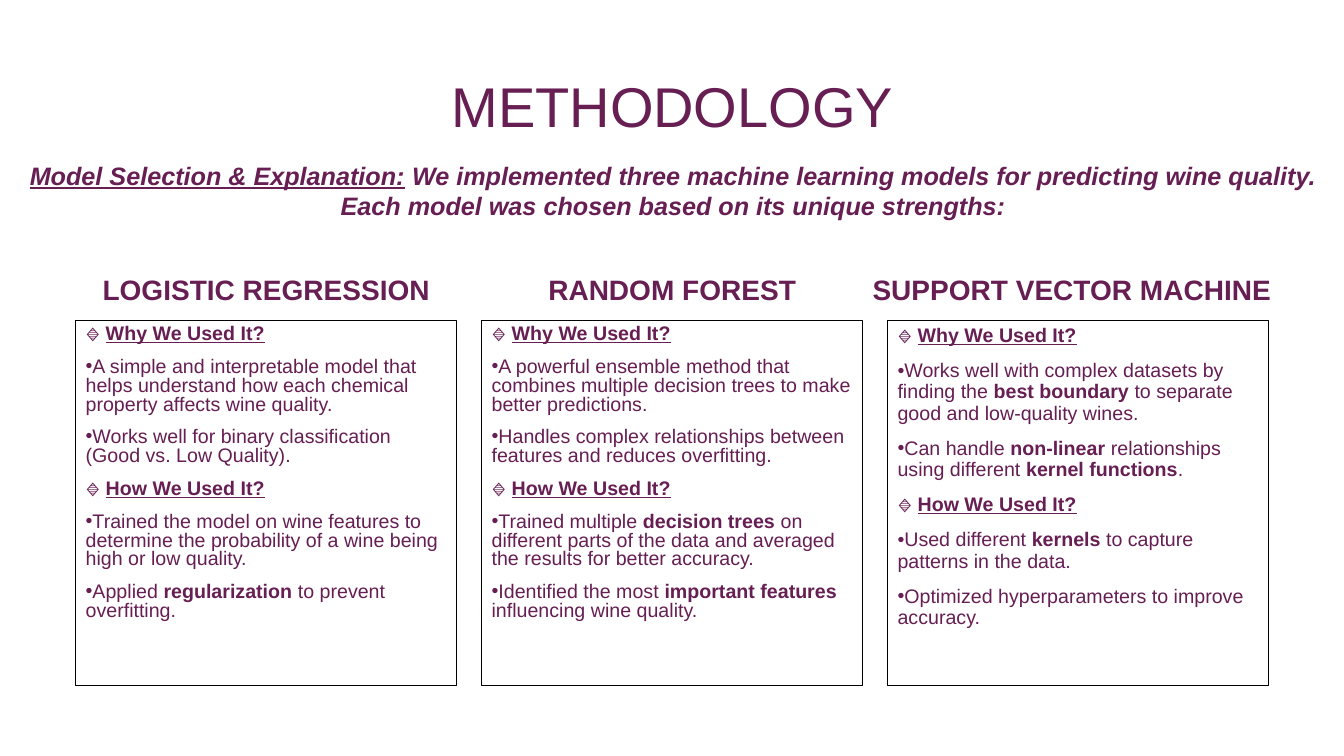
from lxml import etree
from pptx import Presentation
from pptx.dml.color import RGBColor
from pptx.enum.shapes import MSO_SHAPE
from pptx.enum.text import MSO_ANCHOR, PP_ALIGN
from pptx.oxml.ns import qn
from pptx.util import Cm, Pt

LEFT, CENTER = PP_ALIGN.LEFT, PP_ALIGN.CENTER
TOP, MIDDLE, BOTTOM = MSO_ANCHOR.TOP, MSO_ANCHOR.MIDDLE, MSO_ANCHOR.BOTTOM
RECTANGLE = MSO_SHAPE.RECTANGLE

COLORS = {"plum": "661E53", "white": "FFFFFF", "black": "000000"}
FONT = "Arial"

FIRST_LEFT, COLUMN_STEP, COLUMN_WIDTH = 1.91, 10.23, 9.6
HEADING_TOP, HEADING_HEIGHT = 6.12, 1.74
CARD_TOP, CARD_HEIGHT = 8.08, 9.2

# Text between ** marks is bold.
MODELS = [
    {
        "name": "LOGISTIC REGRESSION",
        "spacing": 0.8,
        "why": ["A simple and interpretable model that helps understand how each "
                "chemical property affects wine quality.",
                "Works well for binary classification (Good vs. Low Quality)."],
        "how": ["Trained the model on wine features to determine the probability "
                "of a wine being high or low quality.",
                "Applied **regularization** to prevent overfitting."],
    },
    {
        "name": "RANDOM FOREST",
        "spacing": 0.8,
        "why": ["A powerful ensemble method that combines multiple decision trees "
                "to make better predictions.",
                "Handles complex relationships between features and reduces "
                "overfitting."],
        "how": ["Trained multiple **decision trees** on different parts of the data "
                "and averaged the results for better accuracy.",
                "Identified the most **important features** influencing wine "
                "quality."],
    },
    {
        "name": "SUPPORT VECTOR MACHINE",
        "spacing": 0.9,
        "heading": {"left": 21.74, "width": 11.9, "align": LEFT},
        "why": ["Works well with complex datasets by finding the **best boundary** "
                "to separate good and low-quality wines.",
                "Can handle **non-linear** relationships using different "
                "**kernel functions**."],
        "how": ["Used different **kernels** to capture patterns in the data.",
                "Optimized hyperparameters to improve accuracy."],
    },
]


def add_run(paragraph, text, size=14, bold=False, italic=False, underline=False):
    run = paragraph.add_run()
    run.text = text
    font = run.font
    font.name, font.size = FONT, Pt(size)
    font.bold, font.italic, font.underline = bold, italic, underline
    font.color.rgb = RGBColor.from_string(COLORS["plum"])


def add_bullet(paragraph):
    properties = paragraph._p.get_or_add_pPr()
    properties.set("marL", "0")
    properties.set("indent", "0")
    etree.SubElement(properties, qn("a:buFont")).set("typeface", FONT)
    etree.SubElement(properties, qn("a:buChar")).set("char", "•")


class MethodSlide:
    def __init__(self, presentation):
        self.slide = presentation.slides.add_slide(presentation.slide_layouts[6])

    def label(self, runs, left, top, width, height, align=CENTER, anchor=TOP,
              spacing=1.0):
        """Add a one-paragraph text box; runs are (text, format) pairs."""
        shape = self.slide.shapes.add_textbox(Cm(left), Cm(top), Cm(width), Cm(height))
        frame = shape.text_frame
        frame.word_wrap, frame.vertical_anchor = True, anchor
        paragraph = frame.paragraphs[0]
        paragraph.alignment, paragraph.line_spacing = align, spacing
        for text, style in runs:
            add_run(paragraph, text, **style)

    def card(self, model, left):
        """Add the outlined box that tells why and how a model was used."""
        shape = self.slide.shapes.add_shape(
            RECTANGLE, Cm(left), Cm(CARD_TOP), Cm(COLUMN_WIDTH), Cm(CARD_HEIGHT))
        shape.shadow.inherit = False
        shape.fill.solid()
        shape.fill.fore_color.rgb = RGBColor.from_string(COLORS["white"])
        shape.line.color.rgb = RGBColor.from_string(COLORS["black"])
        shape.line.width = Pt(1)
        frame = shape.text_frame
        frame.word_wrap, frame.vertical_anchor = True, TOP
        questions = [("Why We Used It?", model["why"]), ("How We Used It?", model["how"])]
        for index, (question, answers) in enumerate(questions):
            paragraph = frame.add_paragraph() if index else frame.paragraphs[0]
            add_run(paragraph, "🔹 ")
            add_run(paragraph, question, bold=True, underline=True)
            for answer in answers:
                paragraph = frame.add_paragraph()
                add_bullet(paragraph)
                for part, text in enumerate(answer.split("**")):
                    if text:
                        add_run(paragraph, text, bold=part % 2 == 1)
        for index, paragraph in enumerate(frame.paragraphs):
            paragraph.alignment = LEFT
            paragraph.line_spacing = model["spacing"]
            if index:
                paragraph.space_before = Pt(10)

    def column(self, model, left):
        heading = {"left": left, "width": COLUMN_WIDTH, **model.get("heading", {})}
        self.label([(model["name"], {"size": 20, "bold": True})], top=HEADING_TOP,
                   height=HEADING_HEIGHT, anchor=BOTTOM, spacing=0.9, **heading)
        self.card(model, left)


def main():
    presentation = Presentation()
    presentation.slide_width, presentation.slide_height = Cm(33.87), Cm(19.05)
    page = MethodSlide(presentation)
    page.label([("METHODOLOGY", {"size": 40})], 4.98, 1.19, 23.93, 3.12,
               anchor=MIDDLE, spacing=0.9)
    for index, model in enumerate(MODELS):
        page.column(model, FIRST_LEFT + index * COLUMN_STEP)
    emphasis = {"size": 18, "bold": True, "italic": True}
    page.label([("Model Selection & Explanation:", {**emphasis, "underline": True}),
                (" We implemented three machine learning models for predicting wine "
                 "quality. Each model was chosen based on its unique strengths:",
                 emphasis)], 0, 3.91, 33.93, 2.57)
    presentation.save("out.pptx")


if __name__ == "__main__":
    main()
